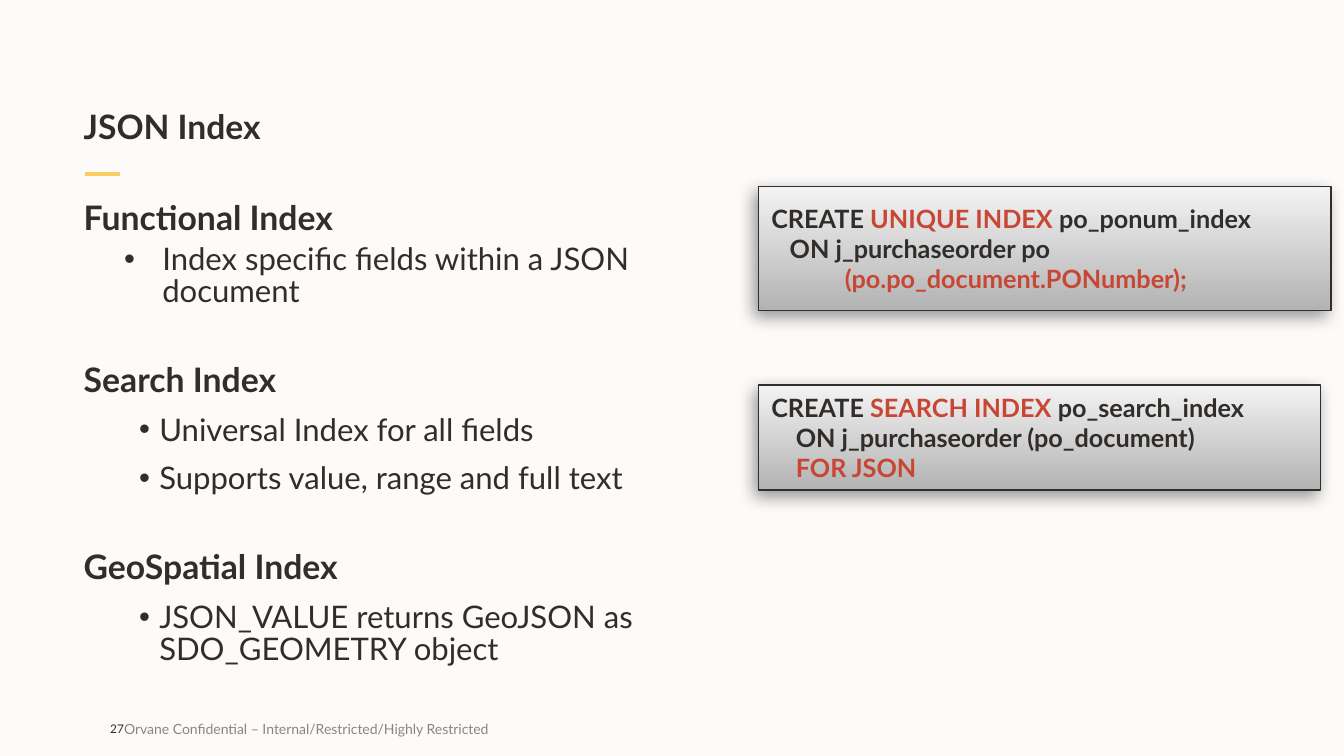
"""Build the JSON Index slide."""
from lxml.etree import SubElement
from pptx import Presentation
from pptx.dml.color import RGBColor
from pptx.enum.shapes import MSO_CONNECTOR, MSO_SHAPE
from pptx.enum.text import MSO_ANCHOR, MSO_AUTO_SIZE, PP_ALIGN
from pptx.oxml.ns import qn
from pptx.util import Inches, Pt

INK = RGBColor(0x31, 0x2D, 0x2A)
RED = RGBColor(0xC7, 0x46, 0x34)
GREY = RGBColor(0x8B, 0x85, 0x80)
GOLD = RGBColor(0xFA, 0xCD, 0x62)
PAPER = RGBColor(0xFC, 0xFB, 0xFA)
DARK = RGBColor(0xB3, 0xB3, 0xB3)
LIGHT = RGBColor(0xF3, 0xF3, 0xF3)


def style(font, size, color=INK, bold=False):
    font.name = "Lato"
    font.size = Pt(size)
    font.color.rgb = color
    font.bold = bold


def setup(shape, anchor, pad_x=0, pad_y=0, wrap=True):
    frame = shape.text_frame
    frame.auto_size = MSO_AUTO_SIZE.NONE
    frame.word_wrap = wrap
    frame.vertical_anchor = anchor
    frame.margin_left = frame.margin_right = Inches(pad_x)
    frame.margin_top = frame.margin_bottom = Inches(pad_y)
    return frame


deck = Presentation()
deck.slide_width, deck.slide_height = Inches(13.33), Inches(7.5)
slide = deck.slides.add_slide(deck.slide_layouts[5])
slide.background.fill.solid()
slide.background.fill.fore_color.rgb = PAPER
shapes = slide.shapes

title = shapes.title
title.left, title.top = Inches(0.83), Inches(0.56)
title.width, title.height = Inches(11.67), Inches(0.9)
frame = setup(title, MSO_ANCHOR.BOTTOM)
frame.text = "JSON Index"
para = frame.paragraphs[0]
para.alignment = PP_ALIGN.LEFT
para.line_spacing = 0.95
style(para.font, 24, bold=True)

rule = shapes.add_connector(
    MSO_CONNECTOR.STRAIGHT, Inches(0.84), Inches(1.73), Inches(1.19), Inches(1.73))
rule.line.color.rgb = GOLD
rule.line.width = Pt(3)
SubElement(rule.element.spPr, qn("a:effectLst"))

footer = [
    ("Orvane Confidential – Internal/Restricted/Highly Restricted",
     1.23, 6.28, 10, GREY, PP_ALIGN.LEFT, True),
    ("27", 0.83, 0.4, 8.5, INK, PP_ALIGN.RIGHT, False),
]
for text, left, width, size, color, align, wrap in footer:
    box = shapes.add_textbox(Inches(left), Inches(7.03), Inches(width), Inches(0.4))
    frame = setup(box, MSO_ANCHOR.MIDDLE, wrap=wrap)
    frame.text = text
    para = frame.paragraphs[0]
    para.alignment = align
    style(para.font, size, color)

topics = [
    ("Functional Index", 0.78, 0.38, 6,
     ["Index specific fields within a JSON document"]),
    ("Search Index", 0.75, 0.2, 12,
     ["Universal Index for all fields", "Supports value, range and full text"]),
    ("GeoSpatial Index", 0.75, 0.2, 12,
     ["JSON_VALUE returns GeoJSON as SDO_GEOMETRY object"]),
]
box = shapes.add_textbox(Inches(0.83), Inches(2.01), Inches(6.69), Inches(4.66))
frame = setup(box, MSO_ANCHOR.TOP)
for num, (head, left, hang, gap, points) in enumerate(topics):
    para = frame.add_paragraph() if num else frame.paragraphs[0]
    para.text = head
    para.line_spacing = 0.85
    para.space_before = Pt(40 if num else 0)
    style(para.font, 24.1, bold=True)
    for point in points:
        para = frame.add_paragraph()
        para.text = point
        para.level = 1
        para.line_spacing = 0.85
        para.space_before = Pt(gap)
        props = para._p.get_or_add_pPr()
        props.set("marL", str(Inches(left)))
        props.set("indent", str(-Inches(hang)))
        SubElement(props, qn("a:buFont"), typeface="Arial")
        SubElement(props, qn("a:buChar"), char="•")
        style(para.font, 22.2)

panels = [
    (3.82, 5.58, 1.04, [
        [("CREATE ", INK), ("SEARCH INDEX ", RED), ("po_search_index", INK)],
        [("    ON j_purchaseorder (po_document)", INK)],
        [("    FOR JSON", RED)]]),
    (1.85, 5.68, 1.23, [
        [("CREATE ", INK), ("UNIQUE INDEX ", RED), ("po_ponum_index", INK)],
        [("   ON j_purchaseorder po", INK)],
        [("            (po.po_document.PONumber);", RED)]]),
]
for top, width, height, lines in panels:
    panel = shapes.add_shape(
        MSO_SHAPE.RECTANGLE, Inches(7.52), Inches(top), Inches(width), Inches(height))
    panel.fill.gradient()
    panel.fill.gradient_angle = 90
    for stop, color in zip(panel.fill.gradient_stops, (DARK, LIGHT)):
        stop.color.rgb = color
    panel.line.color.rgb = INK
    panel.line.width = Pt(1)
    panel.shadow.inherit = False
    effects = panel.element.spPr.find(qn("a:effectLst"))
    shade = SubElement(
        effects, qn("a:outerShdw"), blurRad=str(Pt(12)), dist=str(Pt(5)),
        dir=str(130 * 60000), rotWithShape="0")
    tone = SubElement(shade, qn("a:srgbClr"), val="000000")
    SubElement(tone, qn("a:alpha"), val="40000")
    frame = setup(panel, MSO_ANCHOR.MIDDLE, 0.13, 0.07)
    for num, line in enumerate(lines):
        para = frame.add_paragraph() if num else frame.paragraphs[0]
        para.alignment = PP_ALIGN.LEFT
        for text, color in line:
            run = para.add_run()
            run.text = text
            style(run.font, 18, color, True)

deck.save("out.pptx")
